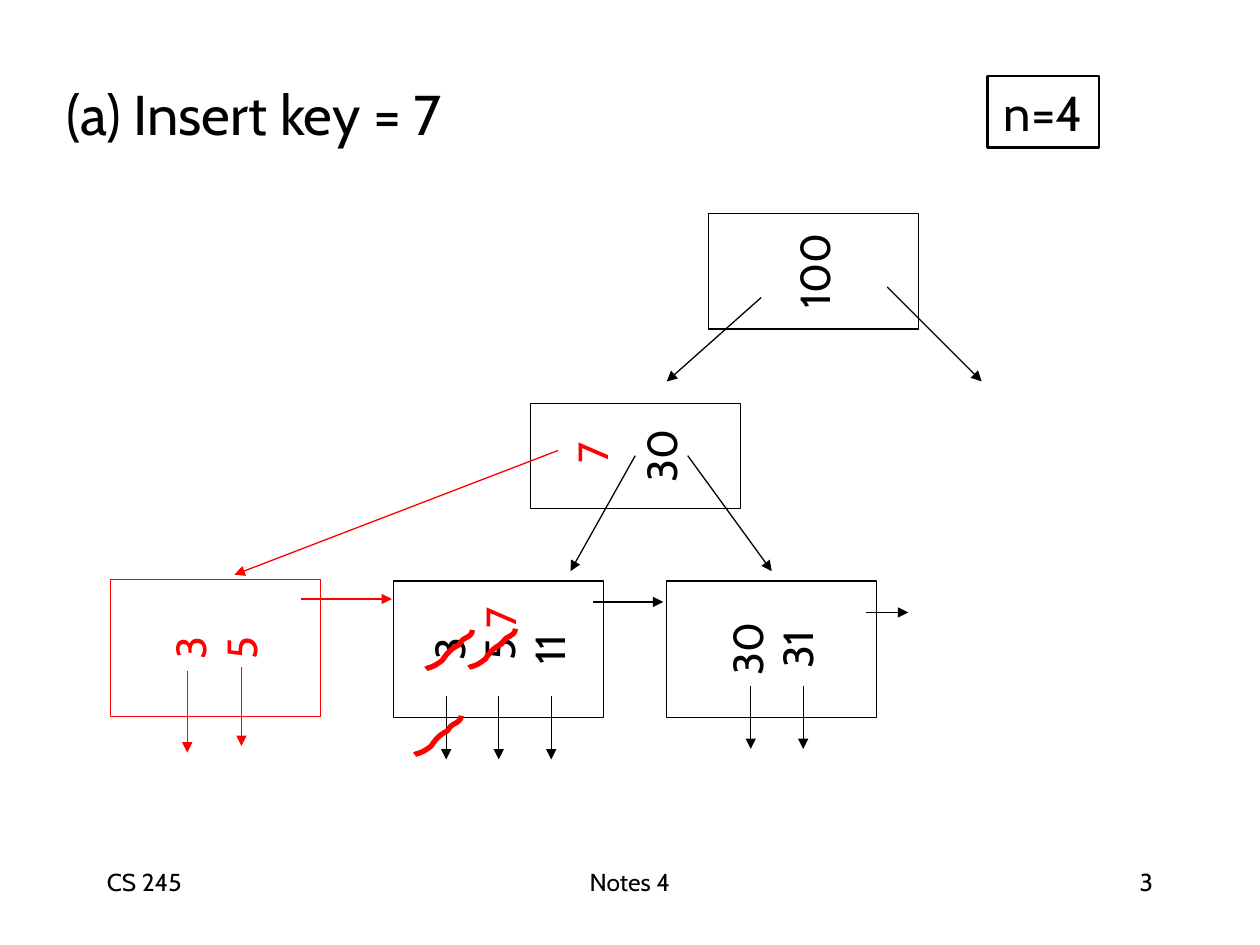
from lxml import etree
from pptx import Presentation
from pptx.dml.color import RGBColor
from pptx.enum import shapes as sh, text as tx
from pptx.oxml import ns
from pptx.util import Pt

INK = {"black": "000000", "red": "FF0000", "white": "FFFFFF"}
ALIGN = {"l": tx.PP_ALIGN.LEFT, "c": tx.PP_ALIGN.CENTER, "r": tx.PP_ALIGN.RIGHT}
SLASH = [(0, 22.3), (0.7, 21.6), (2.2, 21.6), (3.6, 20.9),
         (5.8, 20.2), (9.4, 17.3), (9.4, 17.3),
         (12.2, 13), (14.4, 10.8), (18.7, 8.6),
         (19.4, 7.9), (19.4, 7.2), (20.9, 5.8),
         (22.3, 4.3), (26.6, 3.6), (26.6, 0)]


def tint(name):
    return RGBColor.from_string(INK[name])


def write(shape, lines, size=24, ink="black", align="c", mid=True, wrap=False, top=3.6):
    frame = shape.text_frame
    frame.word_wrap = wrap
    frame.auto_size = tx.MSO_AUTO_SIZE.NONE
    frame.vertical_anchor = tx.MSO_ANCHOR.MIDDLE if mid else tx.MSO_ANCHOR.TOP
    frame.margin_left = frame.margin_right = Pt(7.2)
    frame.margin_top, frame.margin_bottom = Pt(top), Pt(3.6)
    for i, line in enumerate(lines):
        para = frame.add_paragraph() if i else frame.paragraphs[0]
        para.alignment = ALIGN[align]
        run = para.add_run()
        run.text = line
        run.font.name = "Cabin"
        run.font.size = Pt(size)
        run.font.color.rgb = tint(ink)


def turn(x, y, w, h):
    return [Pt(v) for v in (x + (w - h) / 2, y + (h - w) / 2, h, w)]


def arrow(slide, start, end, ink):
    link = slide.shapes.add_connector(
        sh.MSO_CONNECTOR.STRAIGHT, *[Pt(v) for v in (*start, *end)])
    link.line.color.rgb = tint(ink)
    link.line.width = Pt(0.75)
    tail = etree.SubElement(link.line._get_or_add_ln(), ns.qn("a:tailEnd"))
    tail.set("type", "triangle")
    etree.SubElement(link._element.spPr, ns.qn("a:effectLst"))


def links(slide, box, ends, ink):
    x, y = box[:2]
    for x1, y1, x2, y2 in ends:
        arrow(slide, (x + x1, y + y1), (x + x2, y + y2), ink)


def node(slide, box, keys, ends, ink="black", top=3.6):
    rect = slide.shapes.add_shape(sh.MSO_SHAPE.RECTANGLE, *turn(*box))
    rect.rotation = 270
    rect.shadow.inherit = False
    rect.fill.solid()
    rect.fill.fore_color.rgb = tint("white")
    rect.line.color.rgb = tint(ink)
    rect.line.width = Pt(0.75)
    write(rect, keys, ink=ink, top=top)
    links(slide, box, ends, ink)


def label(slide, box, word, dx, dy):
    w, h = 36, 28
    note = slide.shapes.add_textbox(
        *turn(box[0] + dx - w / 2, box[1] + dy - h / 2, w, h))
    note.rotation = 270
    write(note, [word], ink="red")


def curve(points, steps=6):
    yield points[0]
    for i in range(0, len(points) - 1, 3):
        for k in range(1, steps + 1):
            t = k / steps
            s = 1 - t
            mix = (s ** 3, 3 * s * s * t, 3 * s * t * t, t ** 3)
            yield tuple(sum(m * p[axis] for m, p in zip(mix, points[i:i + 4]))
                        for axis in (0, 1))


def strike(slide, box, dx, dy):
    spots = [(Pt(box[0] + dx + x), Pt(box[1] + dy + y)) for x, y in curve(SLASH)]
    pen = slide.shapes.build_freeform(*spots[0])
    pen.add_line_segments(spots[1:], close=False)
    mark = pen.convert_to_shape()
    mark.shadow.inherit = False
    mark.fill.background()
    mark.line.color.rgb = tint("red")
    mark.line.width = Pt(3)


def head(slide, box):
    title = slide.shapes.title
    title.left, title.top, title.width, title.height = [Pt(v) for v in box]
    write(title, ["(a) Insert key = 7"], size=32, align="l", mid=False, wrap=True)


def order(slide, box):
    rect = slide.shapes.add_shape(sh.MSO_SHAPE.RECTANGLE, *[Pt(v) for v in box])
    rect.shadow.inherit = False
    rect.fill.background()
    rect.line.color.rgb = tint("black")
    rect.line.width = Pt(1.5)
    write(rect, ["n=4"], size=28)


def foot(slide, box):
    x, y, w, h = box
    parts = [("CS 245", 0, 150, "l"), ("Notes 4", (w - 228) / 2, 228, "c"),
             ("3", w - 150, 150, "r")]
    for word, dx, wide, align in parts:
        area = slide.shapes.add_textbox(Pt(x + dx), Pt(y), Pt(wide), Pt(h))
        write(area, [word], size=14, align=align, mid=False, wrap=True)


def tree(slide, box):
    x, y = box[:2]
    root = (x + 342, y, 120, 66)
    inner = (x + 240, y + 108.4, 120, 60)
    new = (x, y + 209.3, 120, 78)
    old = (x + 162, y + 210, 120, 78)
    last = (x + 318, y + 210, 120, 78)

    node(slide, old, ["3", "5", "11"],
         [(114, 12, 154, 12)] + [(dx, 66, dx, 102) for dx in (30, 60, 90)])
    node(slide, last, ["30", "31"],
         [(114, 18, 138, 18)] + [(dx, 60, dx, 96) for dx in (48, 78)])
    node(slide, inner, ["30"], [(60, 30, 23, 96), (90, 30, 138, 96)], top=33)
    node(slide, root, ["100"], [(30, 48, -24, 96), (102, 42, 156, 96)])
    node(slide, new, ["3", "5"],
         [(109, 11, 161, 11), (44, 52, 44, 98.8), (75, 50, 75, 95)], ink="red")

    label(slide, old, "7", 60.5, 20.8)
    for spot in [(18.4, 28), (43, 27.3), (12, 77)]:
        strike(slide, old, *spot)
    label(slide, inner, "7", 35, 28.2)
    links(slide, inner, [(16, 27, -169, 98)], "red")


def main():
    deck = Presentation()
    deck.slide_width, deck.slide_height = Pt(720), Pt(540)
    slide = deck.slides.add_slide(deck.slide_layouts[5])
    foot(slide, (54, 492, 612, 36))
    head(slide, (31, 42, 612, 47))
    order(slide, (564.5, 43.5, 63.5, 41))
    tree(slide, (63, 122, 498, 312))
    deck.save("out.pptx")


if __name__ == "__main__":
    main()
